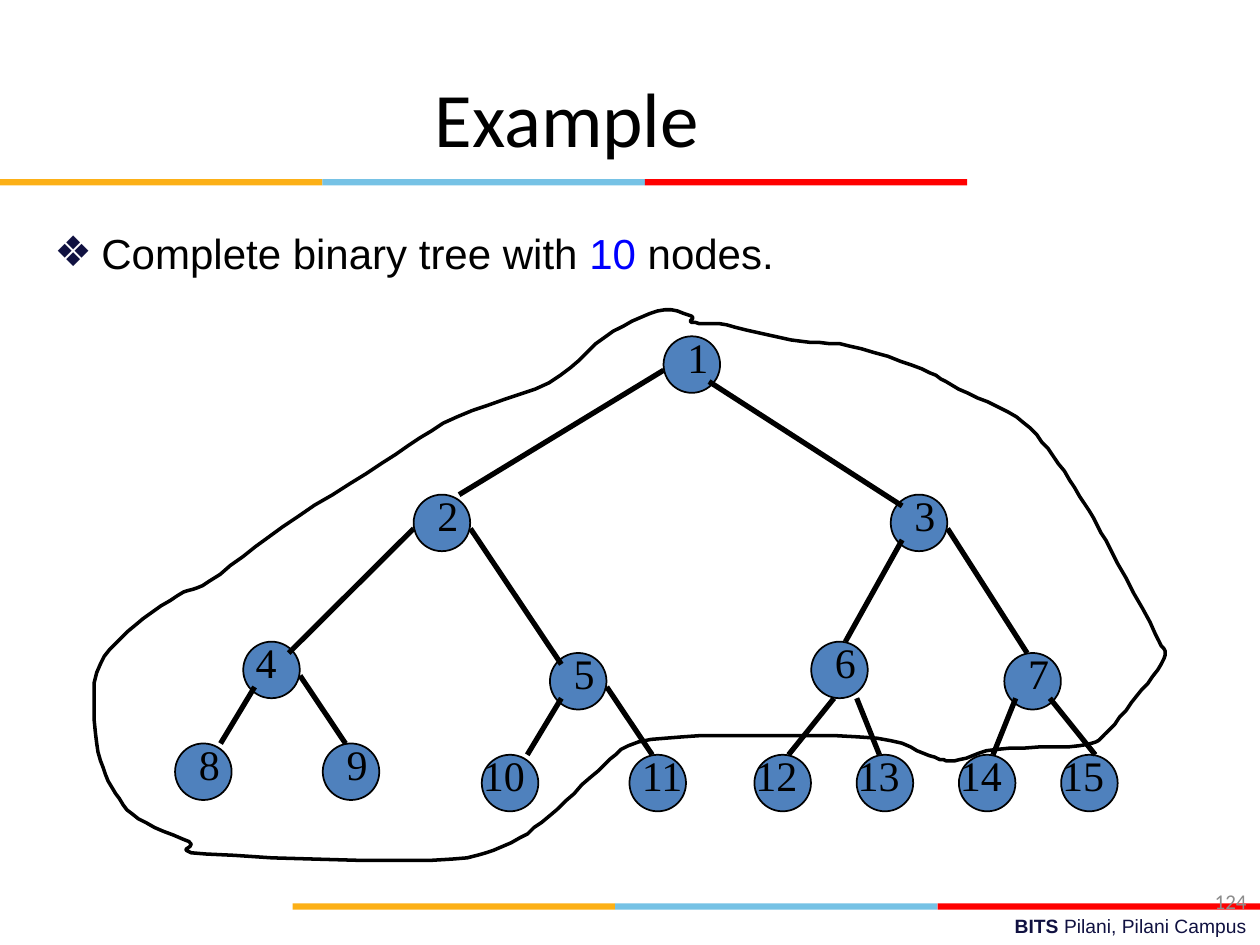
from lxml import etree
from pptx import Presentation
from pptx.dml.color import RGBColor
from pptx.enum.shapes import MSO_CONNECTOR as CONN, MSO_SHAPE as SHAPE
from pptx.enum.text import MSO_ANCHOR as ANCHOR, MSO_AUTO_SIZE as AUTO, PP_ALIGN as ALIGN
from pptx.oxml.ns import qn
from pptx.util import Cm, Pt

COLORS = {
    "white": "FFFFFF", "black": "000000", "navy": "101141", "blue": "0000FF",
    "gray": "8C8C8C", "node": "4F81BD", "gold": "FCB017", "sky": "76C2E5",
    "red": "FF0000",
}

STRIPE_WIDTH = 6.5
STEP_X, STEP_Y = 0.229, 0.228
NODE_SIZE = 1.14

COLUMNS = [43, 21, 63, 6, 33, 56, 73, 0, 13, 27, 40, 51, 60, 69, 78]
ROWS = [0, 14, 14, 27, 28, 27, 28, 36, 36] + [37] * 6
NODES = dict(enumerate(zip(COLUMNS, ROWS), start=1))
LABEL_SHIFTS = {4: 0, 11: 0}
EDGE_STARTS = {2: (0, 3), 3: (4, 4), 4: (0, 3), 12: (2, 5), 13: (4, 5), 15: (4, 4)}
EDGE_ENDS = {3: (1, 1), 4: (4, 1), 5: (1, 1), 6: (3, 0), 12: (3, 0), 14: (3, 0), 15: (3, 0)}

OUTLINE = [
    (474, 9), (502, 11), (553, 23), (600, 28), (657, 46), (686, 62), (732, 84), (761, 115),
    (786, 153), (807, 190), (842, 256), (849, 276), (827, 306), (802, 336), (782, 345),
    (716, 348), (683, 357), (663, 353), (621, 339), (511, 337), (432, 342), (400, 365),
    (361, 401), (324, 425), (267, 436), (89, 431), (75, 421), (35, 403), (14, 378),
    (2, 343), (2, 287), (27, 254), (66, 226), (92, 214), (150, 171), (228, 121),
    (288, 84), (361, 57), (405, 21), (447, 0), (474, 4),
]
CURVE_STEPS = 6


def rgb(name):
    return RGBColor.from_string(COLORS[name])


def place(sp, left, top, width, height):
    sp.left, sp.top, sp.width, sp.height = Cm(left), Cm(top), Cm(width), Cm(height)


def add_run(p, text, size, font, color, bold=False):
    r = p.add_run()
    r.text = text
    r.font.size, r.font.name, r.font.bold = Pt(size), font, bold
    r.font.color.rgb = rgb(color)


def paint(sp, fill, line=None, width=1):
    sp.shadow.inherit = False
    sp.fill.solid()
    sp.fill.fore_color.rgb = rgb(fill)
    if line:
        sp.line.color.rgb = rgb(line)
        sp.line.width = Pt(width)
    else:
        sp.line.fill.background()


def add_text(shapes, box, runs, align=ALIGN.LEFT, anchor=ANCHOR.TOP):
    tf = shapes.add_textbox(*map(Cm, box)).text_frame
    tf.word_wrap = True
    tf.vertical_anchor = anchor
    p = tf.paragraphs[0]
    p.alignment = align
    for run in runs:
        add_run(p, *run)


def add_stripes(shapes, left, top):
    for i, color in enumerate(["gold", "sky", "red"]):
        sp = shapes.add_shape(SHAPE.RECTANGLE, Cm(left + i * STRIPE_WIDTH), Cm(top),
                              Cm(STRIPE_WIDTH), Cm(0.13))
        paint(sp, color)


def add_title(sp, box):
    place(sp, *box)
    tf = sp.text_frame
    tf.vertical_anchor = ANCHOR.MIDDLE
    p = tf.paragraphs[0]
    p.alignment = ALIGN.CENTER
    add_run(p, "Example", 44, "Calibri", "black")


def add_body(sp, box):
    place(sp, *box)
    tf = sp.text_frame
    tf.auto_size = AUTO.NONE
    p = tf.paragraphs[0]
    p.space_before = Pt(0)
    pPr = p._p.get_or_add_pPr()
    pPr.set("marL", str(Cm(0.95)))
    pPr.set("indent", str(Cm(-0.95)))
    bullet_color = etree.SubElement(pPr, qn("a:buClr"))
    etree.SubElement(bullet_color, qn("a:srgbClr"), val=COLORS["navy"])
    etree.SubElement(pPr, qn("a:buFont"), typeface="Arial")
    etree.SubElement(pPr, qn("a:buChar"), char="❖")
    for text, color in [("Complete binary tree with ", "black"), ("10", "blue"), (" nodes.", "black")]:
        add_run(p, text, 24, "Arial", color)


def spline(a, b, c, d, t):
    return b + t * (c - a + t * (2 * a - 5 * b + 4 * c - d + t * (3 * (b - c) + d - a))) / 2


def smooth(points):
    count = len(points)
    for i in range(count):
        corners = [points[(i + k) % count] for k in (-1, 0, 1, 2)]
        for step in range(CURVE_STEPS):
            yield tuple(spline(*axis, step / CURVE_STEPS) for axis in zip(*corners))


def add_outline(shapes, left, top):
    start, *rest = smooth(OUTLINE)
    builder = shapes.build_freeform(*start, scale=Cm(0.0254))
    builder.add_line_segments(rest, close=True)
    sp = builder.convert_to_shape(Cm(left), Cm(top))
    paint(sp, "white", "black", 2)


def add_tree(shapes, left, top):
    def at(node, dx=0, dy=0):
        col, row = NODES[node]
        return left + (col + dx) * STEP_X, top + (row + dy) * STEP_Y

    for node in NODES:
        x, y = at(node)
        sp = shapes.add_shape(SHAPE.OVAL, Cm(x), Cm(y), Cm(NODE_SIZE), Cm(NODE_SIZE))
        paint(sp, "node", "black")
    for child in range(2, len(NODES) + 1):
        is_right = child % 2
        start = EDGE_STARTS.get(child, (5, 3) if is_right else (1, 4))
        end = EDGE_ENDS.get(child, (2, 0) if is_right else (4, 0))
        ends = map(Cm, at(child // 2, *start) + at(child, *end))
        line = shapes.add_connector(CONN.STRAIGHT, *ends)
        line.line.color.rgb = rgb("black")
        line.line.width = Pt(3)
        etree.SubElement(line._element.spPr, qn("a:effectLst"))
    for node in NODES:
        label = str(node)
        shift = LABEL_SHIFTS.get(node, 1 if node < 10 else -1)
        box = (*at(node, shift, -1), 4 * STEP_X * len(label), 1.37)
        add_text(shapes, box, [(label, 24, "Times New Roman", "black")])


def add_footer(shapes, left, top):
    add_stripes(shapes, left, top)
    add_text(shapes, (left + 3.17, top + 0.1, 16.31, 0.74),
             [("BITS ", 11, "Arial", "navy", True), ("Pilani, Pilani Campus", 11, "Arial", "navy")],
             ALIGN.RIGHT)
    add_text(shapes, (left + 13.56, top - 0.56, 5.92, 1.02),
             [("124", 12, "Calibri", "gray")], ALIGN.RIGHT, ANCHOR.MIDDLE)


def main():
    prs = Presentation()
    prs.slide_width, prs.slide_height = Cm(25.4), Cm(19.05)
    slide = prs.slides.add_slide(prs.slide_layouts[1])
    shapes = slide.shapes
    add_title(shapes.title, (0, 0.76, 22.86, 3.18))
    add_body(slide.placeholders[1], (0.84, 4.45, 22.86, 12.57))
    add_stripes(shapes, 0, 3.61)
    add_footer(shapes, 5.9, 18.21)
    add_outline(shapes, 1.9, 6.27)
    add_tree(shapes.add_group_shape().shapes, 3.53, 6.78)
    prs.save("out.pptx")


if __name__ == "__main__":
    main()
